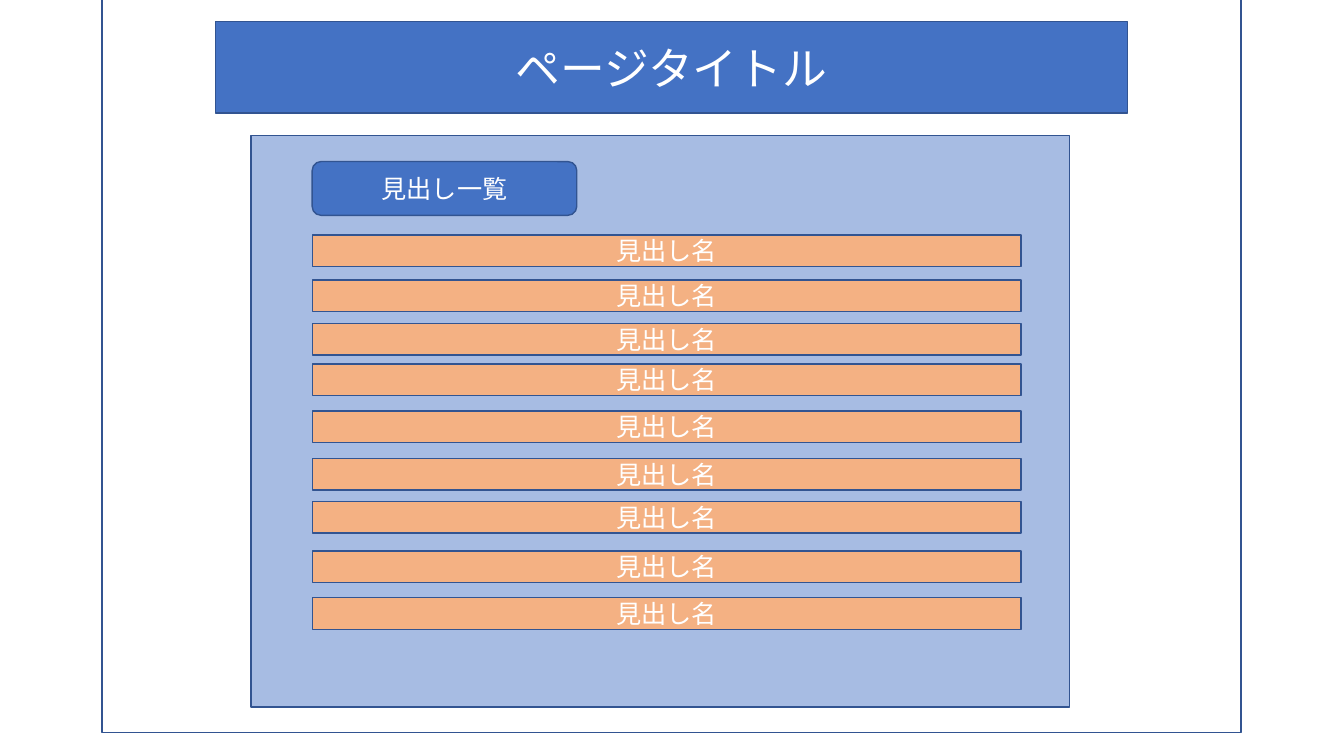
"""Build a page wireframe slide with a title bar and a list of headings."""
from lxml.etree import SubElement
from pptx import Presentation
from pptx.dml.color import RGBColor
from pptx.enum.shapes import MSO_SHAPE as Preset
from pptx.enum.text import MSO_ANCHOR as Anchor, MSO_AUTO_SIZE as AutoSize, PP_ALIGN as Align
from pptx.oxml.ns import qn
from pptx.util import Pt

COLORS = {"white": "FFFFFF", "blue": "4472C4", "outline": "325491", "orange": "F4B183"}
FONT = "Noto Sans CJK JP"


class Page:
    """Holds the style and the current slide."""

    def __init__(self, slide):
        """Keep the slide to draw on."""
        self.slide = slide

    def paint(self, shape, fill, alpha=None):
        """Give a shape its fill, opacity in percent and outline."""
        shape.fill.solid()
        shape.fill.fore_color.rgb = RGBColor.from_string(COLORS[fill])
        if alpha is not None:
            color = shape._element.spPr.find(qn("a:solidFill"))[0]
            SubElement(color, qn("a:alpha")).set("val", str(alpha * 1000))
        shape.line.color.rgb = RGBColor.from_string(COLORS["outline"])
        shape.line.width = Pt(1)

    def label(self, shape, text, size):
        """Put one centred white run in a shape."""
        frame = shape.text_frame
        frame.word_wrap = True
        frame.auto_size = AutoSize.NONE
        frame.vertical_anchor = Anchor.MIDDLE
        paragraph = frame.paragraphs[0]
        paragraph.alignment = Align.CENTER
        run = paragraph.add_run()
        run.text = text
        run.font.size = Pt(size)
        run.font.name = FONT
        run.font.color.rgb = RGBColor.from_string(COLORS["white"])
        SubElement(run.font._element, qn("a:ea")).set("typeface", FONT)

    def box(self, left, top, width, height, fill, text="", size=18,
            preset=Preset.RECTANGLE, alpha=None):
        """Add a preset shape with optional text."""
        shape = self.slide.shapes.add_shape(preset, Pt(left), Pt(top), Pt(width), Pt(height))
        shape.shadow.inherit = False
        self.paint(shape, fill, alpha)
        if text:
            self.label(shape, text, size)

    def title(self, left, top, width, height, text, size):
        """Format the title placeholder as a bar above the page frame."""
        bar = self.slide.shapes.title
        bar.left, bar.top, bar.width, bar.height = Pt(left), Pt(top), Pt(width), Pt(height)
        self.paint(bar, "blue")
        self.label(bar, text, size)
        self.slide.shapes._spTree.append(bar._element)


deck = Presentation()
deck.slide_width, deck.slide_height = Pt(960), Pt(540)
page = Page(deck.slides.add_slide(deck.slide_layouts[5]))

page.box(73, -16, 813.6, 539.3, "white")
page.box(179.3, 97, 584.6, 408.2, "blue", alpha=47)

LIST_LEFT = 223
HEADING_TOPS = (167.9, 200, 231, 260, 293.7, 327.6, 358.2, 393.7, 427)
for heading_top in HEADING_TOPS:
    page.box(LIST_LEFT, heading_top, 506.3, 22.5, "orange", "見出し名")

page.title(154, 15.3, 651.2, 65.5, "ページタイトル", 32)
page.box(LIST_LEFT, 115.4, 189, 38.4, "blue", "見出し一覧", preset=Preset.ROUNDED_RECTANGLE)

deck.save("out.pptx")
